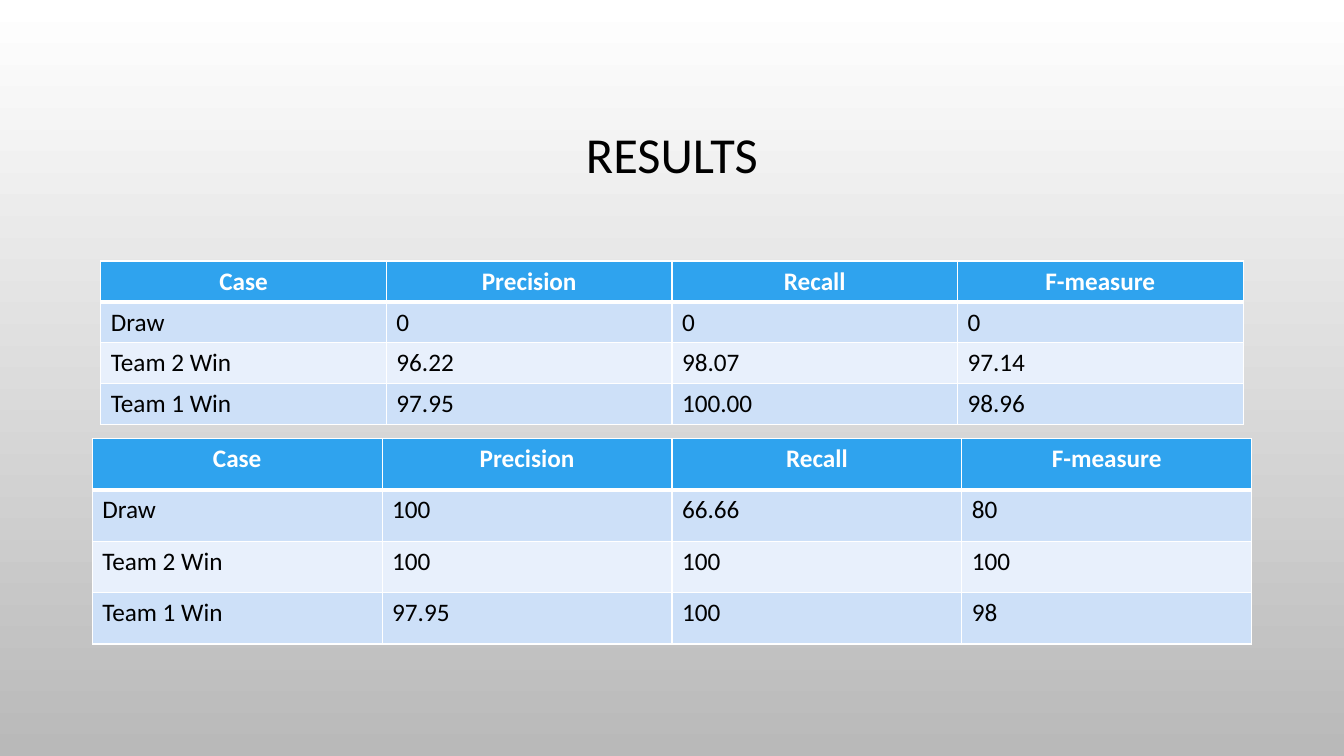
"""Build the results slide: a title above two tables of classification scores."""
from lxml import etree
from pptx import Presentation
from pptx.dml.color import RGBColor
from pptx.enum.text import MSO_ANCHOR, PP_ALIGN
from pptx.oxml.ns import qn
from pptx.util import Inches, Pt

CENTER, LEFT = PP_ALIGN.CENTER, PP_ALIGN.LEFT
MIDDLE, TOP = MSO_ANCHOR.MIDDLE, MSO_ANCHOR.TOP
WHITE, BLACK, GREY = "FFFFFF", "000000", "B9B9B9"
HEADER_BLUE, BAND_FILLS = "2FA3EE", ("E8F0FC", "CDE0F8")
HEADINGS = ("Case", "Precision", "Recall", "F-measure")


def color(value):
    return RGBColor.from_string(value)


def write(frame, text, size=18, ink=BLACK, bold=False, align=LEFT, anchor=TOP, spacing=1.0):
    frame.vertical_anchor = anchor
    para = frame.paragraphs[0]
    para.alignment, para.line_spacing = align, spacing
    span = para.add_run()
    span.text = text
    span.font.name, span.font.size, span.font.bold = "Calibri", Pt(size), bold
    span.font.color.rgb = color(ink)


deck = Presentation()
deck.slide_width, deck.slide_height = Inches(13.33), Inches(7.5)
page = deck.slides.add_slide(deck.slide_layouts[5])

backdrop = page.background.fill
backdrop.gradient()
backdrop.gradient_angle = 270
for stop, shade in zip(backdrop.gradient_stops, (WHITE, GREY)):
    stop.color.rgb = color(shade)

title = page.shapes.title
title.left, title.top = Inches(1), Inches(0.68)
title.width, title.height = Inches(11.33), Inches(1.75)
write(title.text_frame, "RESULTS", size=36, align=CENTER, anchor=MIDDLE, spacing=0.9)

score_tables = (
    (2.59, 11.33, 0.405, (
        ("Draw", "0", "0", "0"),
        ("Team 2 Win", "96.22", "98.07", "97.14"),
        ("Team 1 Win", "97.95", "100.00", "98.96"))),
    (4.35, 11.5, 0.51, (
        ("Draw", "100", "66.66", "80"),
        ("Team 2 Win", "100", "100", "100"),
        ("Team 1 Win", "97.95", "100", "98"))),
)

for top, width, row_height, scores in score_tables:
    rows = (HEADINGS, *scores)
    left = (deck.slide_width - Inches(width)) // 2
    table = page.shapes.add_table(len(rows), len(HEADINGS), left, Inches(top),
                                  Inches(width), Inches(row_height * len(rows))).table
    for row_index, row in enumerate(rows):
        is_header = row_index == 0
        for column_index, text in enumerate(row):
            cell = table.cell(row_index, column_index)
            for side in ("lnL", "lnR", "lnT", "lnB"):
                thick = (side == "lnB" and is_header) or (side == "lnT" and row_index == 1)
                border = etree.SubElement(cell._tc.get_or_add_tcPr(), qn(f"a:{side}"),
                                          w=str(Pt(3 if thick else 1)))
                paint = etree.SubElement(border, qn("a:solidFill"))
                etree.SubElement(paint, qn("a:srgbClr"), val=WHITE)
            cell.fill.solid()
            cell.fill.fore_color.rgb = color(HEADER_BLUE if is_header else BAND_FILLS[row_index % 2])
            write(cell.text_frame, text, ink=WHITE if is_header else BLACK,
                  bold=is_header, align=CENTER if is_header else LEFT)

deck.save("out.pptx")
